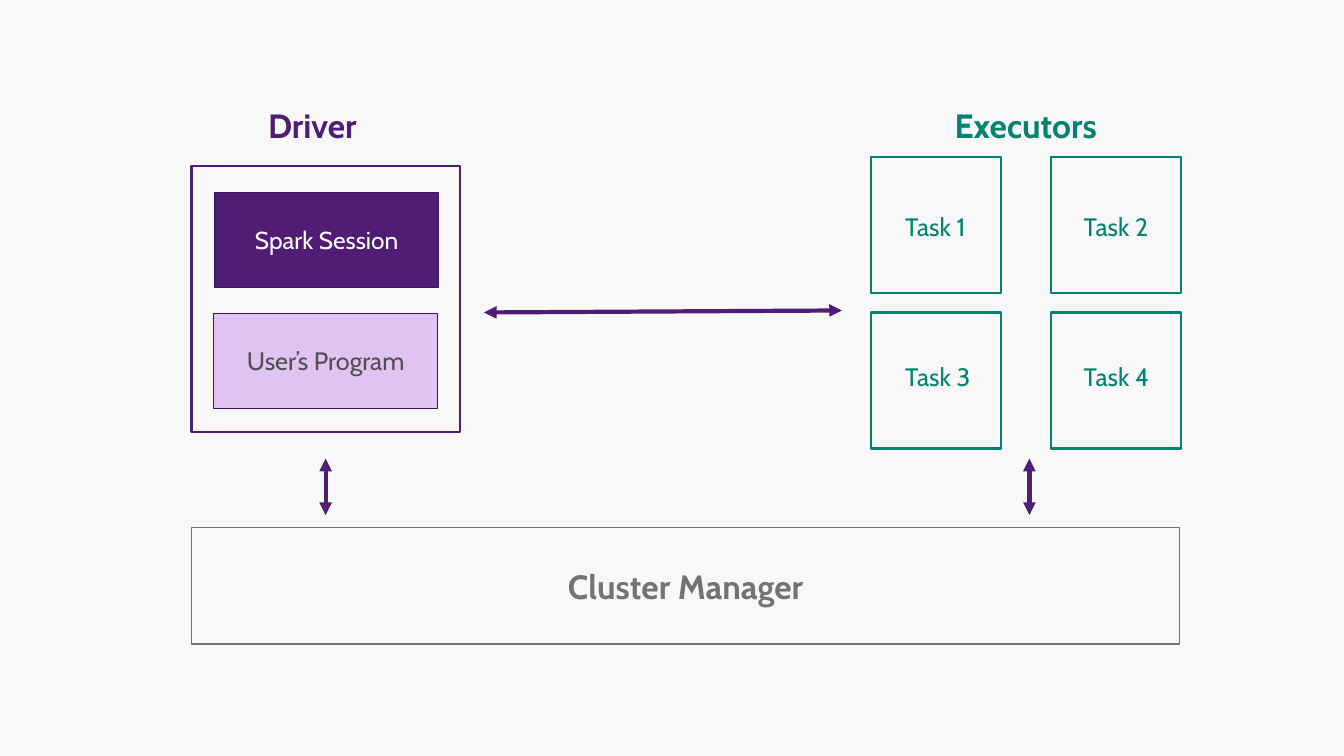
import pptx
import pptx.dml.color
import pptx.enum.shapes
import pptx.enum.text
import pptx.oxml.xmlchemy
import pptx.util

INCH = pptx.util.Inches
FACE = "Cabin"
PURPLE, DARK, LILAC = "511C74", "3C1556", "DFC4F1"
TEAL, GREY, SLATE = "008272", "737373", "505050"
WHITE, PALE = "FFFFFF", "F8F8F8"


def paint(fill, tone):
    """Give a fill one solid colour, or none."""
    if tone is None:
        fill.background()
        return
    fill.solid()
    fill.fore_color.rgb = pptx.dml.color.RGBColor.from_string(tone)


def write(frame, words, size, tone, bold=False):
    """Write one run of text in a frame."""
    run = frame.paragraphs[0].add_run()
    run.text = words
    look = {"name": FACE, "size": pptx.util.Pt(size), "bold": bold}
    for key, value in look.items():
        setattr(run.font, key, value)
    paint(run.font.fill, tone)


def label(slide, place, words, size, tone, bold=False, wrap=True):
    """Add a text box that grows with its text."""
    frame = slide.shapes.add_textbox(*map(INCH, place)).text_frame
    look = {
        "word_wrap": wrap,
        "auto_size": pptx.enum.text.MSO_AUTO_SIZE.SHAPE_TO_FIT_TEXT,
    }
    for key, value in look.items():
        setattr(frame, key, value)
    write(frame, words, size, tone, bold)


def box(slide, place, edge, width, fill=None):
    """Add a rectangle and return it."""
    kind = pptx.enum.shapes.MSO_SHAPE.RECTANGLE
    shape = slide.shapes.add_shape(kind, *map(INCH, place))
    shape.shadow.inherit = False
    paint(shape.fill, fill)
    paint(shape.line.fill, edge)
    shape.line.width = pptx.util.Pt(width)
    return shape


def panel(slide, place, edge, fill, words, size, tone, bold=False):
    """Add a rectangle with centred text."""
    frame = box(slide, place, edge, 0.85, fill).text_frame
    frame.vertical_anchor = pptx.enum.text.MSO_ANCHOR.MIDDLE
    frame.paragraphs[0].alignment = pptx.enum.text.PP_ALIGN.CENTER
    write(frame, words, size, tone, bold)


def arrow(slide, ends):
    """Add a purple arrow with a head at each end."""
    kind = pptx.enum.shapes.MSO_CONNECTOR.STRAIGHT
    link = slide.shapes.add_connector(kind, *map(INCH, ends))
    paint(link.line.fill, PURPLE)
    link.line.width = pptx.util.Pt(3)
    make = pptx.oxml.xmlchemy.OxmlElement
    for tag in ("a:headEnd", "a:tailEnd"):
        tip = make(tag)
        tip.set("type", "triangle")
        link.get_or_add_ln().append(tip)
    link.get_or_add_ln().addnext(make("a:effectLst"))


def tasks(slide):
    """Lay out the executor tasks two by two."""
    cells = [(row, col) for row in range(2) for col in range(2)]
    for row, col in cells:
        place = (8.64 + 1.78 * col, 1.56 + 1.54 * row, 1.29, 1.35)
        box(slide, place, TEAL, 1.5)
    for num, (row, col) in enumerate(cells, 1):
        place = (8.88 + 1.77 * col, 2.05 + 1.49 * row, 0.87, 0.4)
        label(slide, place, f"Task {num}", 18, TEAL, wrap=False)


def main():
    """Build the slide and save it."""
    deck = pptx.Presentation()
    deck.slide_width, deck.slide_height = INCH(13.33), INCH(7.5)
    slide = deck.slides.add_slide(deck.slide_layouts[6])
    paint(slide.background.fill, PALE)
    label(slide, (9.37, 0.99, 1.8, 0.5), "Executors", 24, TEAL, True)
    label(slide, (2.56, 0.99, 1.22, 0.5), "Driver", 24, PURPLE, True)
    for left in (3.23, 10.21):
        arrow(slide, (left, 4.55, left, 5.11))
    tasks(slide)
    arrow(slide, (8.35, 3.08, 4.8, 3.1))
    panel(slide, (2.12, 3.11, 2.22, 0.94), DARK, LILAC,
          "User’s Program", 18, SLATE)
    panel(slide, (2.13, 1.91, 2.22, 0.94), DARK, PURPLE,
          "Spark Session", 17.5, WHITE)
    box(slide, (1.9, 1.65, 2.66, 2.64), PURPLE, 1.5)
    panel(slide, (1.9, 5.23, 9.8, 1.16), GREY, None,
          "Cluster Manager", 24, GREY, True)
    deck.save("out.pptx")


if __name__ == "__main__":
    main()
